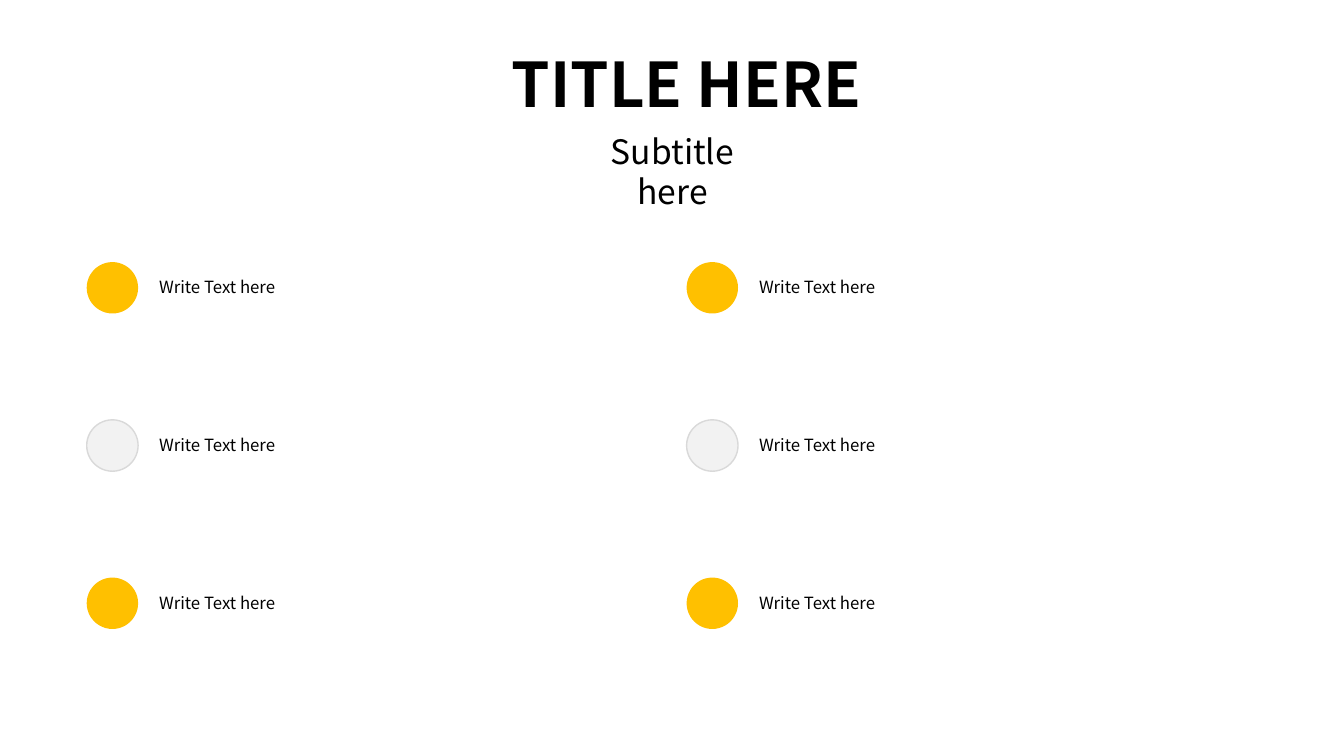
from collections import namedtuple

from pptx import Presentation
from pptx.dml.color import RGBColor
from pptx.enum.shapes import MSO_SHAPE as Shape
from pptx.enum.text import MSO_AUTO_SIZE as AutoSize, PP_ALIGN as Align
from pptx.util import Inches, Pt

Theme = namedtuple("Theme", "font ink accent pale pale_line title subtitle body")
theme = Theme(
    font="Noto Sans CJK KR",
    ink=RGBColor.from_string("000000"),
    accent=RGBColor.from_string("FFC000"),
    pale=RGBColor.from_string("F2F2F2"),
    pale_line=RGBColor.from_string("D9D9D9"),
    title=Pt(44),
    subtitle=Pt(24),
    body=Pt(12),
)

presentation = Presentation()
presentation.slide_width = Inches(13.33)
presentation.slide_height = Inches(7.5)
slide = presentation.slides.add_slide(presentation.slide_layouts[6])


def add_text(text, left, top, width, height, size, align, bold=False, wrap=True, spacing=None):
    box = slide.shapes.add_textbox(Inches(left), Inches(top), Inches(width), Inches(height))
    frame = box.text_frame
    frame.text = text
    frame.word_wrap = wrap
    frame.auto_size = AutoSize.SHAPE_TO_FIT_TEXT
    paragraph = frame.paragraphs[0]
    paragraph.alignment = align
    paragraph.line_spacing = spacing
    font = paragraph.runs[0].font
    font.name, font.size, font.bold = theme.font, size, bold
    font.color.rgb = theme.ink


# Heading
add_text("TITLE HERE", 4.91, 0.41, 3.8, 0.84, theme.title, Align.CENTER, bold=True, wrap=False)
add_text("Subtitle here", 5.6, 1.25, 2.14, 0.5, theme.subtitle, Align.CENTER)

# Grid of bullet circles, each with its text to the right
columns, rows = 2, 3
grid_left, grid_top = 0.86, 2.6
column_step, row_step = 5.95, 1.565
circle_size, text_offset = 0.51, 0.62

for row in range(rows):
    for column in range(columns):
        left = grid_left + column * column_step
        top = grid_top + row * row_step
        circle = slide.shapes.add_shape(
            Shape.OVAL, Inches(left), Inches(top), Inches(circle_size), Inches(circle_size)
        )
        circle.shadow.inherit = False
        circle.fill.solid()
        if row % 2:
            circle.fill.fore_color.rgb = theme.pale
            circle.line.color.rgb = theme.pale_line
            circle.line.width = Pt(1)
        else:
            circle.fill.fore_color.rgb = theme.accent
            circle.line.fill.background()
        add_text("Write Text here", left + text_offset, top, 5.03, 0.37,
                 theme.body, Align.JUSTIFY, spacing=1.5)

presentation.save("out.pptx")
